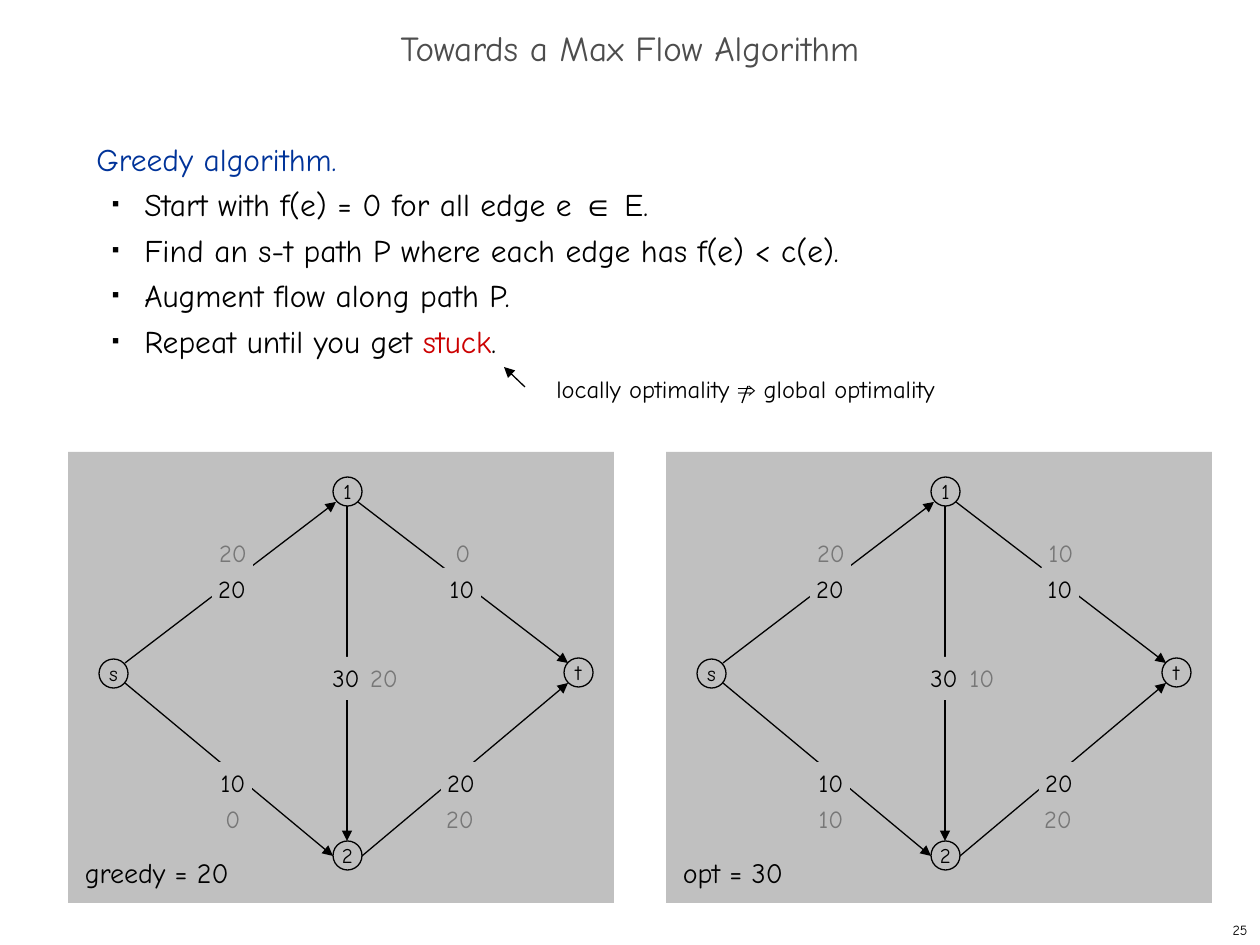
from dataclasses import dataclass

from lxml.etree import SubElement
from pptx import Presentation
from pptx.dml.color import RGBColor
from pptx.enum.shapes import MSO_CONNECTOR as Connector, MSO_SHAPE as Preset
from pptx.enum.text import MSO_ANCHOR as Anchor, PP_ALIGN as Align
from pptx.oxml.ns import qn
from pptx.util import Emu, Pt


@dataclass(frozen=True)
class Theme:
    font: str = "Comic Neue"
    symbol_font: str = "Arial"
    black: str = "000000"
    title_gray: str = "4D4D4D"
    flow_gray: str = "777777"
    panel: str = "C0C0C0"
    blue: str = "003399"
    red: str = "CC0000"
    title: int = 20
    body: int = 18
    caption: int = 16
    label: int = 14
    node: int = 12
    number: int = 8
    line: float = 0.75


@dataclass(frozen=True)
class Node:
    name: str
    left: int
    top: int


@dataclass(frozen=True)
class Label:
    center: int
    top: int
    filled: bool = True


@dataclass(frozen=True)
class Edge:
    start: tuple[int, int]
    end: tuple[int, int]
    capacity: int
    capacity_label: Label
    flow_label: Label


@dataclass(frozen=True)
class Network:
    left: int
    caption: str
    flows: tuple[int, ...]


@dataclass(frozen=True)
class Run:
    text: str
    color: str = Theme.black
    font: str = Theme.font


THEME = Theme()
PANEL_TOP, PANEL_WIDTH, PANEL_HEIGHT = 452, 546, 451
NODE_SIZE, LABEL_HEIGHT = 29, 43
LABEL_WIDTHS = {"0": 28, "10": 38, "20": 40, "30": 40}

# Nodes and edges are placed relative to the panel's corner
NODES = (Node("s", 31, 207), Node("1", 265, 25), Node("2", 265, 389), Node("t", 496, 206))
EDGES = (
    Edge((57, 211), (268, 50), 20, Label(164, 116), Label(165, 80)),
    Edge((290, 50), (500, 211), 10, Label(394, 116), Label(395, 80)),
    Edge((57, 231), (265, 404), 10, Label(165, 310), Label(165, 346)),
    Edge((294, 404), (500, 231), 20, Label(393, 310), Label(392, 346, False)),
    Edge((279, 54), (279, 389), 30, Label(278, 205), Label(316, 205)),
)
# Flows follow the order of EDGES
NETWORKS = (
    Network(68, "greedy = 20", (20, 0, 0, 20, 20)),
    Network(666, "opt = 30", (20, 10, 10, 20, 10)),
)
STEPS = (
    (Run("Start with f(e) = 0 for all edge e "), Run("∈", font=THEME.symbol_font), Run(" E.")),
    (Run("Find an s-t path P where each edge has f(e) < c(e)."),),
    (Run("Augment flow along path P."),),
    (Run("Repeat until you get "), Run("stuck", THEME.red), Run(".")),
)


def px(value: float) -> Emu:
    return Emu(round(value * 914400 / 126))


def add_runs(paragraph, runs: tuple[Run, ...], size: int) -> None:
    paragraph.font.size = Pt(size)
    for item in runs:
        run = paragraph.add_run()
        run.text = item.text
        run.font.name = item.font
        run.font.color.rgb = RGBColor.from_string(item.color)


def write(shape, runs: tuple[Run, ...], size: int, align=Align.LEFT, anchor=Anchor.TOP,
          margins: tuple[float, float] = (12.6, 6.3), wrap: bool = False) -> None:
    frame = shape.text_frame
    frame.word_wrap = wrap
    frame.vertical_anchor = anchor
    frame.margin_left = frame.margin_right = px(margins[0])
    frame.margin_top = frame.margin_bottom = px(margins[1])
    frame.paragraphs[0].alignment = align
    add_runs(frame.paragraphs[0], runs, size)


def add_box(slide, left: int, top: int, width: int, height: int):
    return slide.shapes.add_textbox(px(left), px(top), px(width), px(height))


def add_preset(slide, preset, left: int, top: int, width: int, height: int,
               outlined: bool = False, filled: bool = True):
    shape = slide.shapes.add_shape(preset, px(left), px(top), px(width), px(height))
    shape.shadow.inherit = False
    if filled:
        shape.fill.solid()
        shape.fill.fore_color.rgb = RGBColor.from_string(THEME.panel)
    else:
        shape.fill.background()
    if outlined:
        shape.line.color.rgb = RGBColor.from_string(THEME.black)
        shape.line.width = Pt(THEME.line)
    else:
        shape.line.fill.background()
    return shape


def add_line(slide, start: tuple[int, int], end: tuple[int, int], arrow: bool = True) -> None:
    line = slide.shapes.add_connector(Connector.STRAIGHT, *map(px, start + end))
    line.line.color.rgb = RGBColor.from_string(THEME.black)
    line.line.width = Pt(THEME.line)
    if arrow:
        SubElement(line.line._get_or_add_ln(), qn("a:tailEnd"), type="triangle")
    SubElement(line._element.spPr, qn("a:effectLst"))


def add_label(slide, panel_left: int, label: Label, value: int, color: str) -> None:
    width = LABEL_WIDTHS[str(value)]
    shape = add_preset(slide, Preset.RECTANGLE, panel_left + label.center - width // 2,
                       PANEL_TOP + label.top, width, LABEL_HEIGHT, filled=label.filled)
    write(shape, (Run(str(value), color),), THEME.label, Align.CENTER, margins=(6.3, 6.3))


def add_network(slide, network: Network) -> None:
    left = network.left
    add_preset(slide, Preset.RECTANGLE, left, PANEL_TOP, PANEL_WIDTH, PANEL_HEIGHT)
    write(add_box(slide, left - 2, 843, 230, 59), (Run(network.caption),), THEME.caption,
          margins=(18.9, 12.6))
    for node in NODES:
        circle = add_preset(slide, Preset.OVAL, left + node.left, PANEL_TOP + node.top,
                            NODE_SIZE, NODE_SIZE, outlined=True)
        write(circle, (Run(node.name),), THEME.node, Align.CENTER, Anchor.MIDDLE)
    for edge in EDGES:
        start, end = ((left + x, PANEL_TOP + y) for x, y in (edge.start, edge.end))
        add_line(slide, start, end)
    # Labels cover the edges below them
    for edge in EDGES:
        add_label(slide, left, edge.capacity_label, edge.capacity, THEME.black)
    for edge, flow in zip(EDGES, network.flows):
        add_label(slide, left, edge.flow_label, flow, THEME.flow_gray)


def add_bullet(paragraph) -> None:
    properties = paragraph._p.get_or_add_pPr()
    properties.set("lvl", "1")
    properties.set("marL", str(px(48)))
    properties.set("indent", str(-px(32)))
    color = SubElement(properties, qn("a:buClr"))
    SubElement(color, qn("a:srgbClr"), val=THEME.black)
    SubElement(properties, qn("a:buSzPct"), val="35000")
    SubElement(properties, qn("a:buFont"), typeface=THEME.symbol_font)
    SubElement(properties, qn("a:buChar"), char="■")


def add_algorithm(slide) -> None:
    box = add_box(slide, 84, 126, 1081, 321)
    write(box, (Run("Greedy algorithm.", THEME.blue),), THEME.body, wrap=True)
    for step in STEPS:
        paragraph = box.text_frame.add_paragraph()
        add_bullet(paragraph)
        add_runs(paragraph, step, THEME.body)
    for paragraph in box.text_frame.paragraphs:
        paragraph.line_spacing = Pt(26)


def main() -> None:
    presentation = Presentation()
    presentation.slide_width, presentation.slide_height = px(1260), px(945)
    slide = presentation.slides.add_slide(presentation.slide_layouts[6])
    # Title, page number and algorithm
    title = add_box(slide, 0, 21, 1260, 63)
    write(title, (Run("Towards a Max Flow Algorithm", THEME.title_gray),), THEME.title,
          Align.CENTER, Anchor.MIDDLE, wrap=True)
    title.text_frame.paragraphs[0].line_spacing = 0.7
    write(add_box(slide, 998, 914, 262, 31), (Run("25"),), THEME.number,
          Align.RIGHT, Anchor.MIDDLE)
    add_algorithm(slide)
    # Flow networks
    for network in NETWORKS:
        add_network(slide, network)
    # Remark with its arrow and the stroke that negates the implication
    remark = (Run("locally optimality "), Run("⇒", font=THEME.symbol_font),
              Run(" global optimality"))
    write(add_box(slide, 544, 368, 406, 42), remark, THEME.label)
    add_line(slide, (525, 387), (504, 367))
    add_line(slide, (748, 386), (742, 403), arrow=False)
    presentation.save("out.pptx")


if __name__ == "__main__":
    main()
